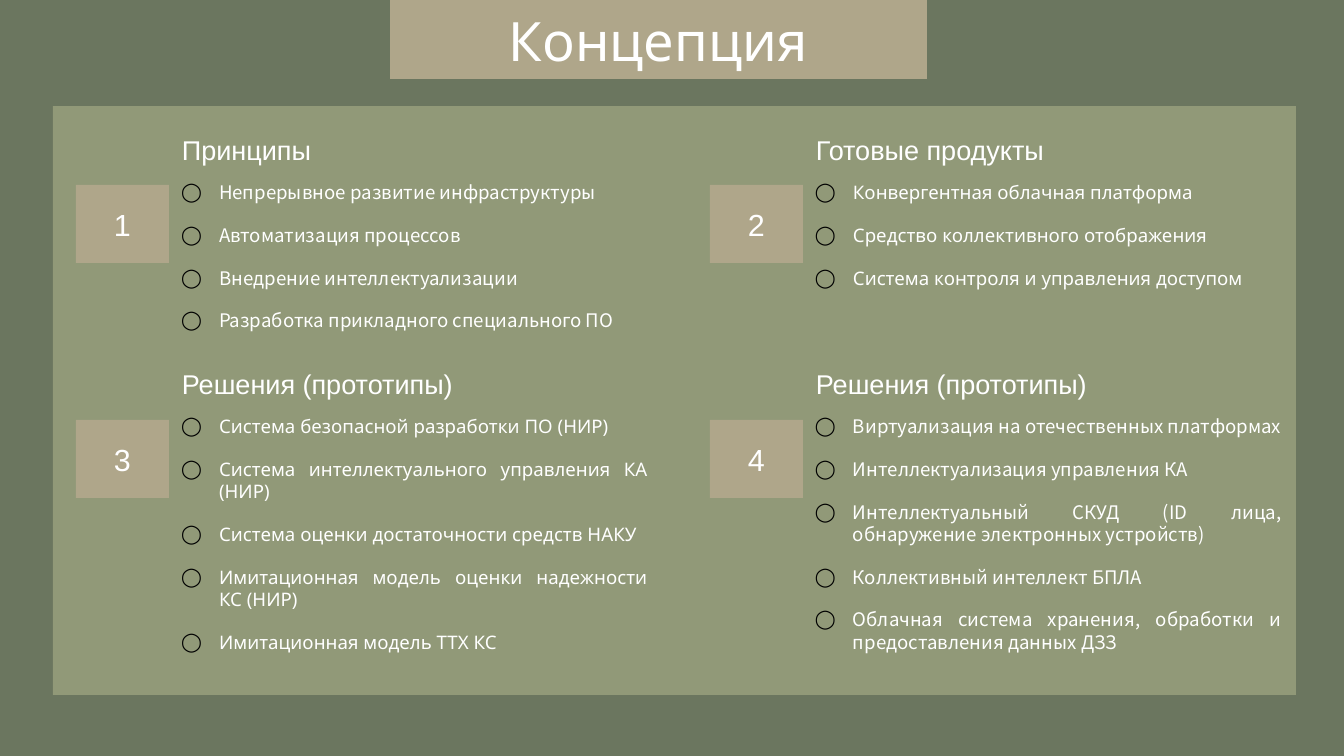
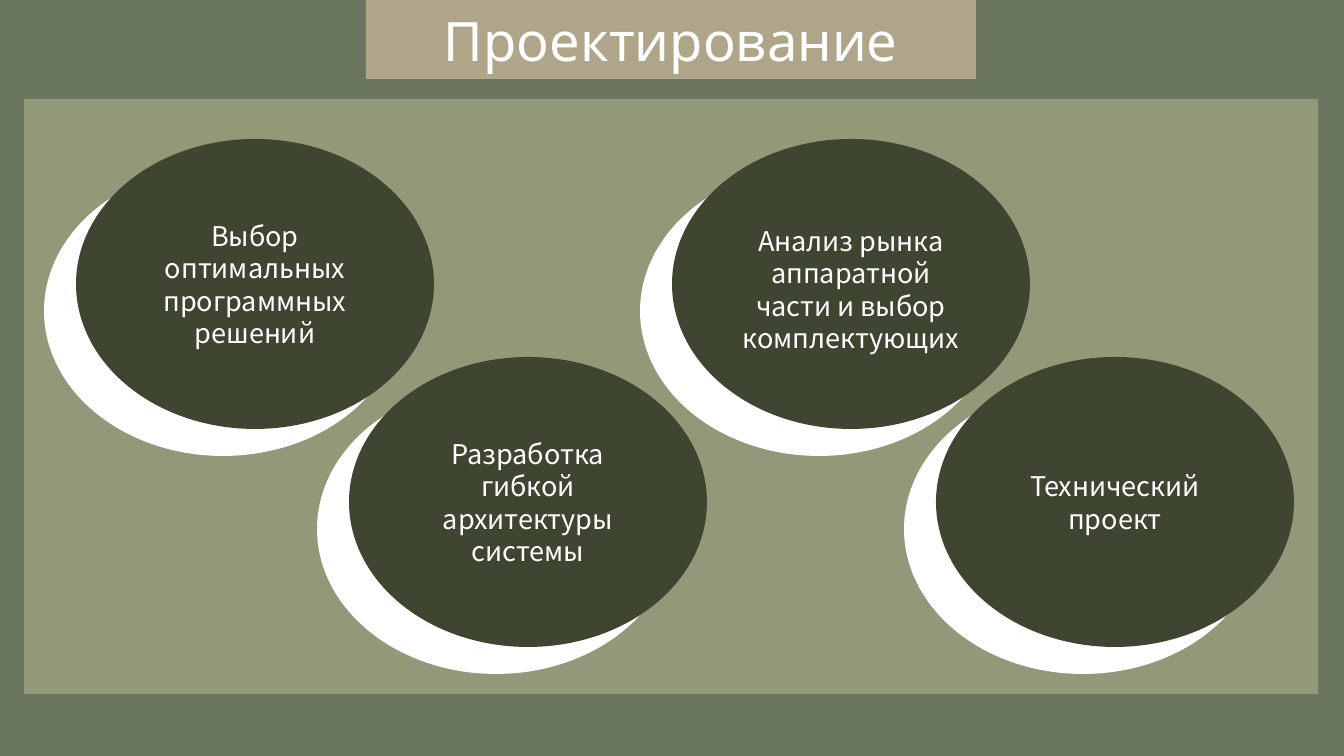
"""Build two slides on a concept and its design stages."""
import pptx
import pptx.dml.color
import pptx.enum.shapes
import pptx.enum.text
import pptx.oxml.ns
import pptx.util
from lxml import etree

PX = 914400 / 122
BACK, PANEL, TAN, DARK, WHITE, BLACK = (
    "6B765F", "9EA580", "AFA68A", "3E4632", "FFFFFF", "000000")
PANEL_OPACITY = 76
SANS, CJK, ARIAL = "Noto Sans", "Noto Sans CJK JP", "Arial"
SHAPES = pptx.enum.shapes.MSO_SHAPE
ALIGN = pptx.enum.text.PP_ALIGN
ANCHOR = pptx.enum.text.MSO_ANCHOR

CONCEPT = {"title": "Концепция", "band": (390, 0, 537, 79),
           "panel": (53, 106, 1243, 589)}
DESIGN = {"title": "Проектирование", "band": (366, 0, 610, 79),
          "panel": (24, 99, 1294, 595)}

SECTIONS = [
    ("Принципы", CJK, [
        "Непрерывное развитие инфраструктуры",
        "Автоматизация процессов",
        "Внедрение интеллектуализации",
        "Разработка прикладного специального ПО"]),
    ("Готовые продукты", SANS, [
        "Конвергентная облачная платформа",
        "Средство коллективного отображения",
        "Система контроля и управления доступом"]),
    ("Решения (прототипы)", SANS, [
        "Система безопасной разработки ПО (НИР)",
        "Система интеллектуального управления КА (НИР)",
        "Система оценки достаточности средств НАКУ",
        "Имитационная модель оценки надежности КС (НИР)",
        "Имитационная модель ТТХ КС"]),
    ("Решения (прототипы)", CJK, [
        "Виртуализация на отечественных платформах",
        "Интеллектуализация управления КА",
        "Интеллектуальный СКУД (ID лица, обнаружение электронных устройств)",
        "Коллективный интеллект БПЛА",
        "Облачная система хранения, обработки и предоставления данных ДЗЗ"]),
]
COLUMN_STEP, BADGE_STEP, TEXT_STEP = 634, 235, 234

STAGES = [
    ("Выбор оптимальных программных решений", 76, 139, 0),
    ("Разработка гибкой архитектуры системы", 349, 357, 0),
    ("Анализ рынка аппаратной части и выбор комплектующих", 672, 139, 10),
    ("Технический проект", 936, 357, 0),
]
OVAL_SIZE = (358, 290)
SHADE_SHIFT = (-32, 27)


def px(length):
    return pptx.util.Emu(round(length * PX))


def color(value):
    return pptx.dml.color.RGBColor.from_string(value)


def place(shape, area):
    shape.left, shape.top, shape.width, shape.height = map(px, area)


def paint(shape, value):
    shape.fill.solid()
    shape.fill.fore_color.rgb = color(value)


def add_block(slide, kind, area, fill):
    shape = slide.shapes.add_shape(kind, *map(px, area))
    shape.shadow.inherit = False
    shape.line.fill.background()
    paint(shape, fill)
    return shape


def style(para, size, face, align):
    para.alignment = align
    para.font.size = pptx.util.Pt(size)
    para.font.name = face
    para.font.bold = False
    para.font.color.rgb = color(WHITE)


def write(shape, text, size, face, align=ALIGN.CENTER, anchor=ANCHOR.MIDDLE):
    frame = shape.text_frame
    frame.word_wrap = True
    frame.auto_size = pptx.enum.text.MSO_AUTO_SIZE.NONE
    frame.vertical_anchor = anchor
    frame.text = text
    for para in frame.paragraphs:
        style(para, size, face, align)
    return frame


def add_bullet(para):
    props = para._p.get_or_add_pPr()
    props.set("marL", str(px(38)))
    props.set("indent", str(px(-38)))
    qn = pptx.oxml.ns.qn
    tint = etree.SubElement(props, qn("a:buClr"))
    etree.SubElement(tint, qn("a:srgbClr"), val=BLACK)
    etree.SubElement(props, qn("a:buChar"), char="◯")


def fill_list(holder, items, face, area):
    place(holder, area)
    frame = holder.text_frame
    frame.text = "\n".join(items)
    for para in frame.paragraphs:
        add_bullet(para)
    write(holder, frame.text, 11, face, ALIGN.JUSTIFY, ANCHOR.TOP)
    for index, para in enumerate(frame.paragraphs):
        add_bullet(para)
        style(para, 11, face, ALIGN.JUSTIFY)
        para.space_before = pptx.util.Pt(6 if index else 0)
        para.space_after = pptx.util.Pt(6)
    frame.margin_left = frame.margin_right = px(13)
    frame.margin_top = frame.margin_bottom = px(7)


def start_slide(deck, layout, content):
    slide = deck.slides.add_slide(deck.slide_layouts.get_by_name(layout))
    title = slide.shapes.title
    place(title, content["band"])
    paint(title, TAN)
    write(title, content["title"], 32, SANS)
    panel = add_block(slide, SHAPES.RECTANGLE, content["panel"], PANEL)
    tint = next(panel.element.iter(pptx.oxml.ns.qn("a:srgbClr")))
    etree.SubElement(tint, pptx.oxml.ns.qn("a:alpha"), val=str(PANEL_OPACITY * 1000))
    title.element.addprevious(panel.element)
    return slide


def build_concept(deck):
    slide = start_slide(deck, "Comparison", CONCEPT)
    holders = [holder for holder in slide.placeholders
               if holder.placeholder_format.idx in range(1, 5)]
    for index, (heading, face, items) in enumerate(SECTIONS):
        row, column = divmod(index, 2)
        dx, dy = column * COLUMN_STEP, row * TEXT_STEP
        badge = add_block(slide, SHAPES.RECTANGLE,
                          (76 + dx, 185 + row * BADGE_STEP, 93, 78), TAN)
        write(badge, str(index + 1), 18, ARIAL)
        label = slide.shapes.add_textbox(*map(px, (170 + dx, 127 + dy, 351, 39)))
        write(label, heading, 16, ARIAL, ALIGN.LEFT, ANCHOR.TOP)
        fill_list(holders[index], items, face, (168 + dx, 174 + dy, 493, 251))


def build_design(deck):
    slide = start_slide(deck, "Title Only", DESIGN)
    for text, left, top, drop in STAGES:
        shifted = (left + SHADE_SHIFT[0], top + SHADE_SHIFT[1])
        add_block(slide, SHAPES.OVAL, shifted + OVAL_SIZE, WHITE)
        oval = add_block(slide, SHAPES.OVAL, (left, top) + OVAL_SIZE, DARK)
        frame = write(oval, text, 16, CJK)
        frame.margin_top = px(6 + drop)


def main():
    deck = pptx.Presentation()
    deck.slide_width, deck.slide_height = px(1344), px(756)
    backdrop = deck.slide_master.background.fill
    backdrop.solid()
    backdrop.fore_color.rgb = color(BACK)
    build_concept(deck)
    build_design(deck)
    deck.save("out.pptx")


if __name__ == "__main__":
    main()
